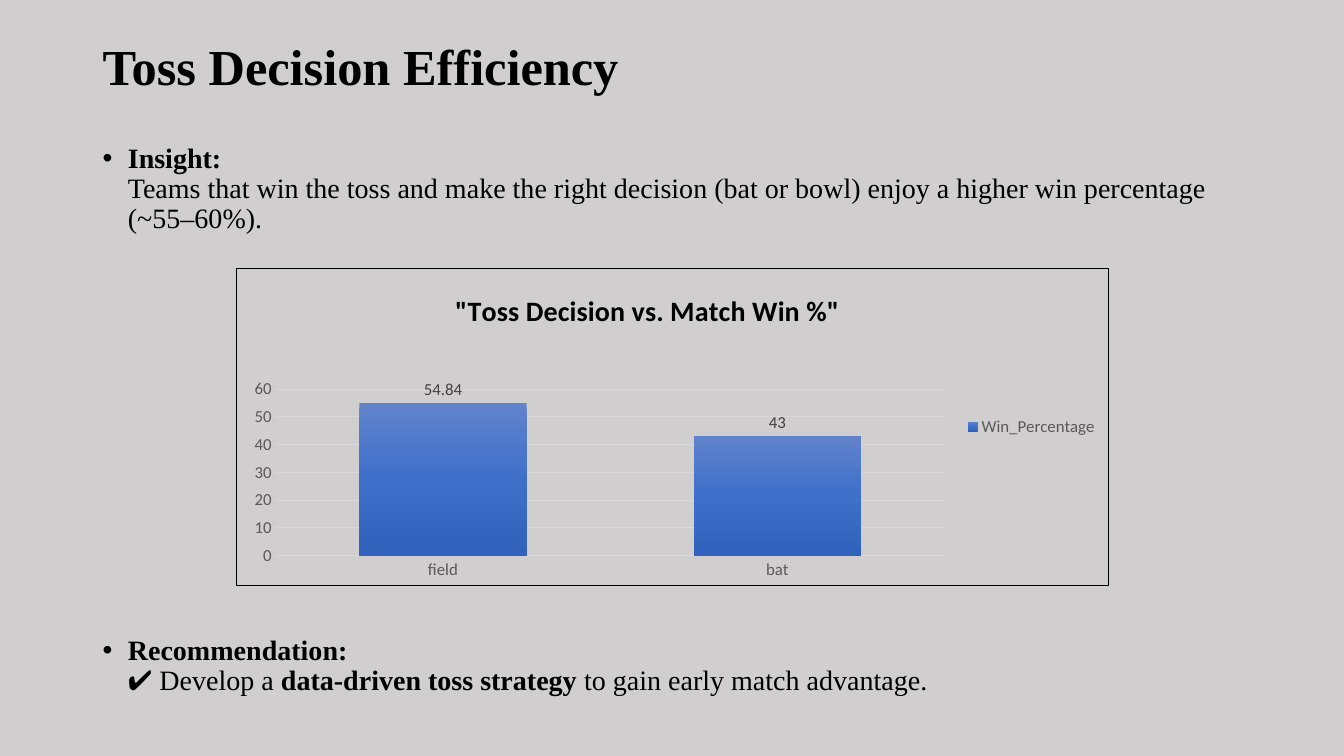
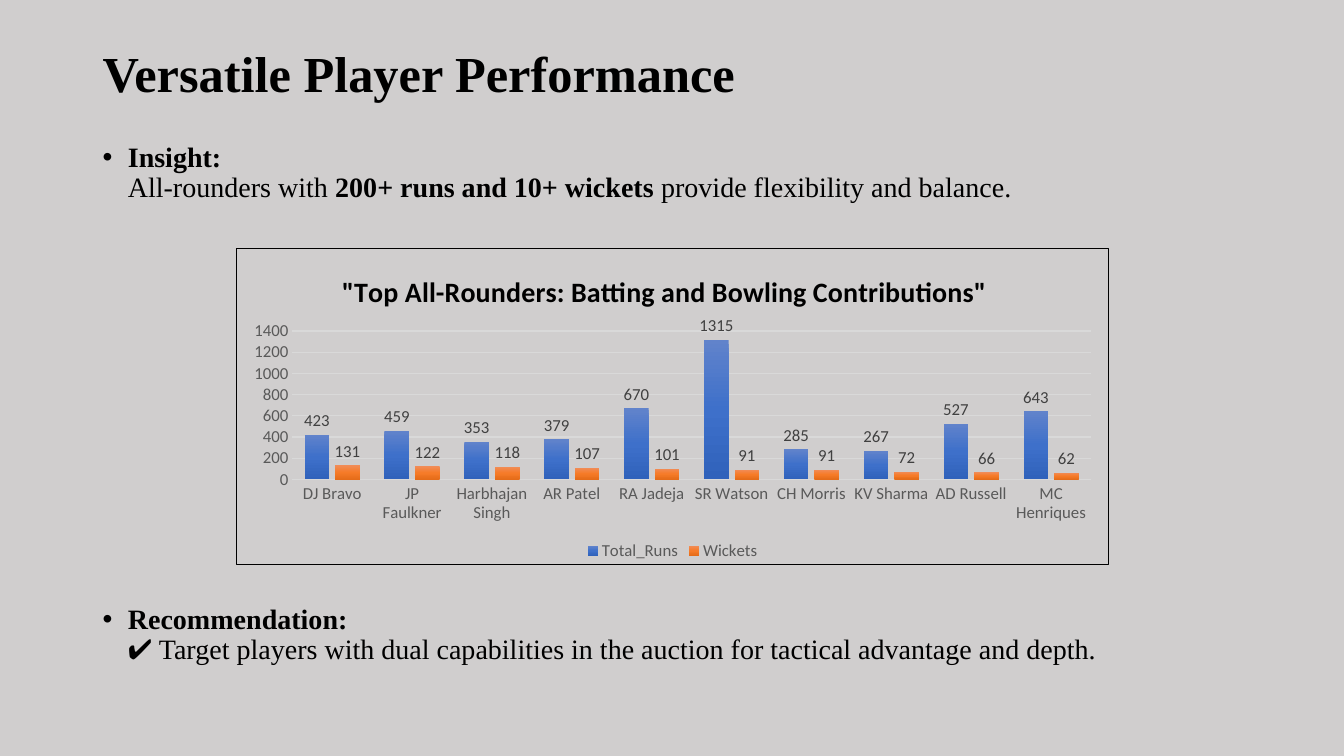
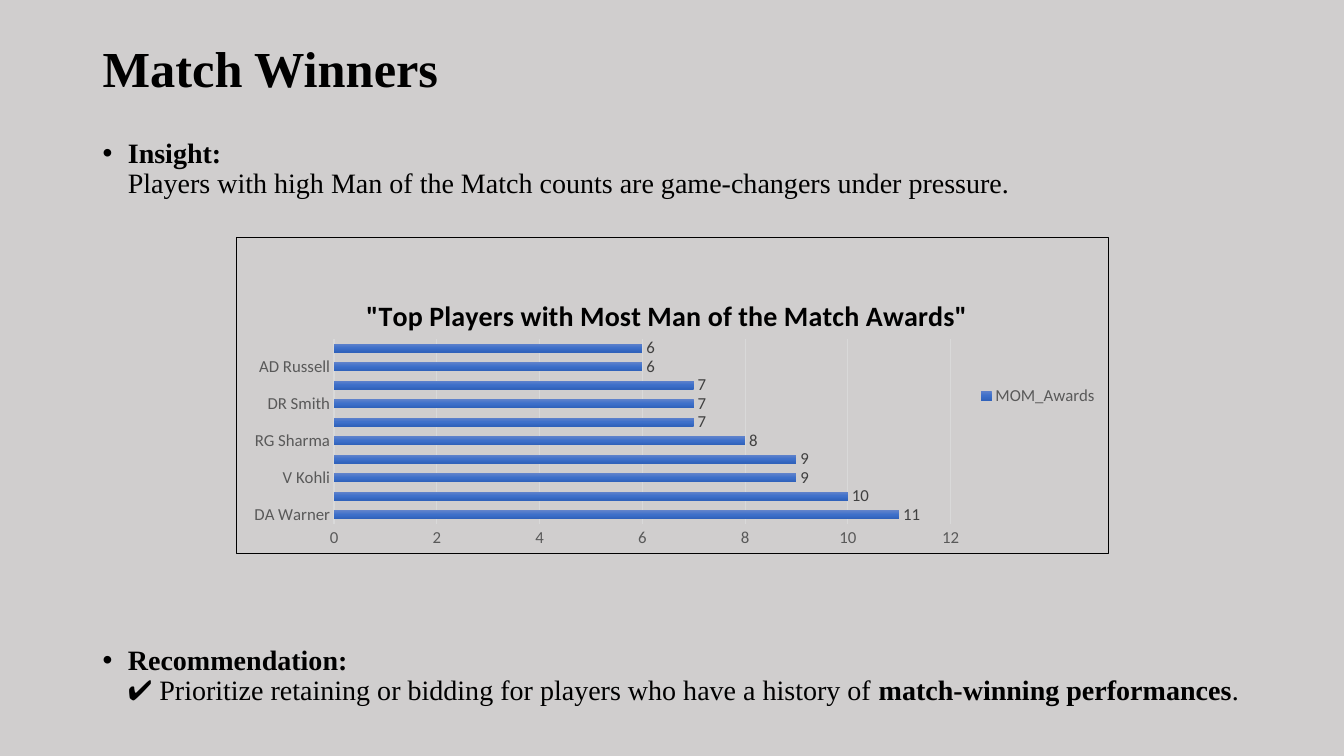
from lxml import etree
from pptx import Presentation
from pptx import util as u
from pptx.chart.data import CategoryChartData
from pptx.dml.color import RGBColor
from pptx.enum import chart as ch
from pptx.enum import text
from pptx.oxml import parse_xml
from pptx.oxml.ns import nsdecls, qn

# Shared look
SERIF, SANS = "Times New Roman", "Calibri"
BACK, INK, GREY, LABEL, GRID = "D0CECE", "000000", "595959", "404040", "D9D9D9"
GRADIENTS = [("6183CB", "3E70CA", "3062BB"), ("F18C57", "F67B28", "E56C19")]
LEFT, WIDTH, TITLE_TOP = 0.92, 11.5, 0.4
CHART_LEFT, CHART_WIDTH, CHART_HEIGHT = 2.34, 8.66, 3.15
COLUMN, BAR = ch.XL_CHART_TYPE.COLUMN_CLUSTERED, ch.XL_CHART_TYPE.BAR_CLUSTERED
RIGHT, BOTTOM = ch.XL_LEGEND_POSITION.RIGHT, ch.XL_LEGEND_POSITION.BOTTOM

# Content: ** marks bold; title_at and plot_at are percentages of the chart;
# gap is the space in points between the two bullets
SLIDES = [
    dict(title="Toss Decision Efficiency", title_height=0.58,
         body_top=1.38, body_height=5.9, gap=287,
         insight="Teams that win the toss and make the right decision (bat or bowl) "
                 "enjoy a higher win percentage (~55–60%).",
         advice="✔ Develop a **data-driven toss strategy** to gain early match advantage.",
         chart=dict(kind=COLUMN, top=2.66, legend=RIGHT, gap=100, overlap=-24,
                    title='"Toss Decision vs. Match Win %"', title_at=(24.5, 5.4),
                    plot_at=(4.5, 38.1, 76.7, 52.6), scale=(60, 10),
                    cats=["field", "bat"],
                    series={"Win_Percentage": [54.84, 43]})),
    dict(title="Versatile Player Performance", title_height=0.72,
         body_top=1.37, body_height=6.25, gap=287,
         insight="All-rounders with **200+ runs and 10+ wickets** provide flexibility and balance.",
         advice="✔ Target players with dual capabilities in the auction for tactical "
                "advantage and depth.",
         chart=dict(kind=COLUMN, top=2.46, legend=BOTTOM, gap=100, overlap=-24,
                    title='"Top All-Rounders: Batting and Bowling Contributions"',
                    title_at=(11.5, 5.7),
                    plot_at=(6.4, 26.1, 91.6, 46.9), scale=(1400, 200),
                    cats=["DJ Bravo", "JP Faulkner", "Harbhajan Singh", "AR Patel",
                          "RA Jadeja", "SR Watson", "CH Morris", "KV Sharma",
                          "AD Russell", "MC Henriques"],
                    series={"Total_Runs": [423, 459, 353, 379, 670, 1315, 285, 267, 527, 643],
                            "Wickets": [131, 122, 118, 107, 101, 91, 91, 72, 66, 62]})),
    dict(title="Match Winners", title_height=0.62,
         body_top=1.33, body_height=5.92, gap=319,
         insight="Players with high Man of the Match counts are game-changers under pressure.",
         advice="✔ Prioritize retaining or bidding for players who have a history of "
                "**match-winning performances**.",
         chart=dict(kind=BAR, top=2.35, legend=RIGHT, gap=115, overlap=-20,
                    title='"Top Players with Most Man of the Match Awards"',
                    title_at=(14.3, 17),
                    plot_at=(11.2, 32, 70.7, 58.6), scale=(12, 2),
                    cats=["DA Warner", "AM Rahane", "V Kohli", "AB de Villiers",
                          "RG Sharma", "SK Raina", "DR Smith", "MEK Hussey",
                          "AD Russell", "RA Jadeja"],
                    series={"MOM_Awards": [11, 10, 9, 9, 8, 7, 7, 7, 6, 6]})),
]


def rgb(color):
    return RGBColor.from_string(color)


def style(font, size=12, color=GREY, name=SANS, bold=False):
    font.size, font.name, font.bold = u.Pt(size), name, bold
    font.color.rgb = rgb(color)


def write(p, words, **fmt):
    """Add text to a paragraph; **marked** parts are bold, \n breaks the line."""
    for i, part in enumerate(words.split("**")):
        for j, line in enumerate(part.split("\n")):
            if j:
                p.add_line_break()
            if line:
                r = p.add_run()
                r.text = line
                style(r.font, bold=i % 2 == 1, **fmt)


def text_box(slide, top, height, anchor):
    sp = slide.shapes.add_textbox(*map(u.Inches, (LEFT, top, WIDTH, height)))
    tf = sp.text_frame
    tf.word_wrap, tf.vertical_anchor = True, anchor
    return tf


def bullet(p):
    props = p._p.get_or_add_pPr()
    props.set("marL", str(u.Inches(0.25)))
    props.set("indent", str(u.Inches(-0.25)))
    etree.SubElement(props, qn("a:buFont")).set("typeface", "Arial")
    etree.SubElement(props, qn("a:buChar")).set("char", "•")


def add_text(slide, data):
    tf = text_box(slide, TITLE_TOP, data["title_height"], text.MSO_ANCHOR.MIDDLE)
    p = tf.paragraphs[0]
    p.line_spacing = 0.9
    write(p, f"**{data['title']}**", size=36, color=INK, name=SERIF)

    tf = text_box(slide, data["body_top"], data["body_height"], text.MSO_ANCHOR.TOP)
    first, second = tf.paragraphs[0], tf.add_paragraph()
    second.space_before = u.Pt(data["gap"])
    for p, head, words in ((first, "Insight:", data["insight"]),
                           (second, "Recommendation:", data["advice"])):
        p.line_spacing = 0.9
        bullet(p)
        write(p, f"**{head}**\n{words}", size=20, color=INK, name=SERIF)


def layout(percentages, inner=False):
    """Manual layout of a chart part."""
    pairs = list(zip("xywh", percentages))
    target = '<c:layoutTarget val="inner"/>' if inner else ""
    modes = "".join(f'<c:{k}Mode val="edge"/>' for k, v in pairs if k in "xy")
    sizes = "".join(f'<c:{k} val="{v / 100:.3f}"/>' for k, v in pairs)
    return parse_xml(f'<c:layout {nsdecls("c")}><c:manualLayout>{target}{modes}{sizes}'
                     '</c:manualLayout></c:layout>')


def place(element, new, after):
    """Put a layout in its part, in place of any it has."""
    for old in element.findall(qn("c:layout")):
        element.remove(old)
    if after is None:
        element.insert(0, new)
    else:
        element.find(qn(after)).addnext(new)


def gradient(series, colors):
    fill = series.format.fill
    fill.gradient()
    fill.gradient_angle = 270
    stops = series._element.find(".//" + qn("a:gsLst"))
    for old in list(stops):
        stops.remove(old)
    for i, color in enumerate(colors):
        gs = etree.SubElement(stops, qn("a:gs"), pos=str(i * 50000))
        etree.SubElement(gs, qn("a:srgbClr"), val=color)


def add_chart(slide, data):
    chart_data = CategoryChartData()
    chart_data.categories = data["cats"]
    for name, values in data["series"].items():
        chart_data.add_series(name, values)
    box = map(u.Inches, (CHART_LEFT, data["top"], CHART_WIDTH, CHART_HEIGHT))
    chart = slide.shapes.add_chart(data["kind"], *box, chart_data).chart
    style(chart.font, size=10, color=INK)

    # Frame
    chart._chartSpace.find(qn("c:chart")).addnext(parse_xml(
        f'<c:spPr {nsdecls("c", "a")}><a:noFill/><a:ln w="{u.Pt(0.75)}"><a:solidFill>'
        f'<a:srgbClr val="{INK}"/></a:solidFill></a:ln></c:spPr>'))

    # Title and legend
    chart.has_title = True
    title = chart.chart_title
    write(title.text_frame.paragraphs[0], f"**{data['title']}**", size=20, color=INK)
    place(title._element, layout(data["title_at"]), "c:tx")
    chart.has_legend = True
    chart.legend.position = data["legend"]
    chart.legend.include_in_layout = False
    style(chart.legend.font)

    # Axes
    cat, val = chart.category_axis, chart.value_axis
    for axis in (cat, val):
        axis.major_tick_mark = axis.minor_tick_mark = ch.XL_TICK_MARK.NONE
        style(axis.tick_labels.font)
    cat.has_major_gridlines, val.has_major_gridlines = False, True
    for line, width in ((cat.format.line, 1), (val.major_gridlines.format.line, 0.75)):
        line.color.rgb, line.width = rgb(GRID), u.Pt(width)
    val.format.line.fill.background()
    val.minimum_scale = 0
    val.maximum_scale, val.major_unit = data["scale"]

    # Bars
    plot = chart.plots[0]
    plot.vary_by_categories = False
    plot.gap_width, plot.overlap = data["gap"], data["overlap"]
    for series, colors in zip(plot.series, GRADIENTS):
        gradient(series, colors)
        labels = series.data_labels
        labels.show_value = True
        labels.position = ch.XL_LABEL_POSITION.OUTSIDE_END
        style(labels.font, color=LABEL)
    area = chart._chartSpace.find(".//" + qn("c:plotArea"))
    place(area, layout(data["plot_at"], inner=True), None)


def main():
    prs = Presentation()
    prs.slide_width, prs.slide_height = u.Inches(13.33), u.Inches(7.5)
    back = prs.slide_master.background.fill
    back.solid()
    back.fore_color.rgb = rgb(BACK)
    for data in SLIDES:
        slide = prs.slides.add_slide(prs.slide_layouts[6])
        add_text(slide, data)
        add_chart(slide, data["chart"])
    prs.save("out.pptx")


if __name__ == "__main__":
    main()
